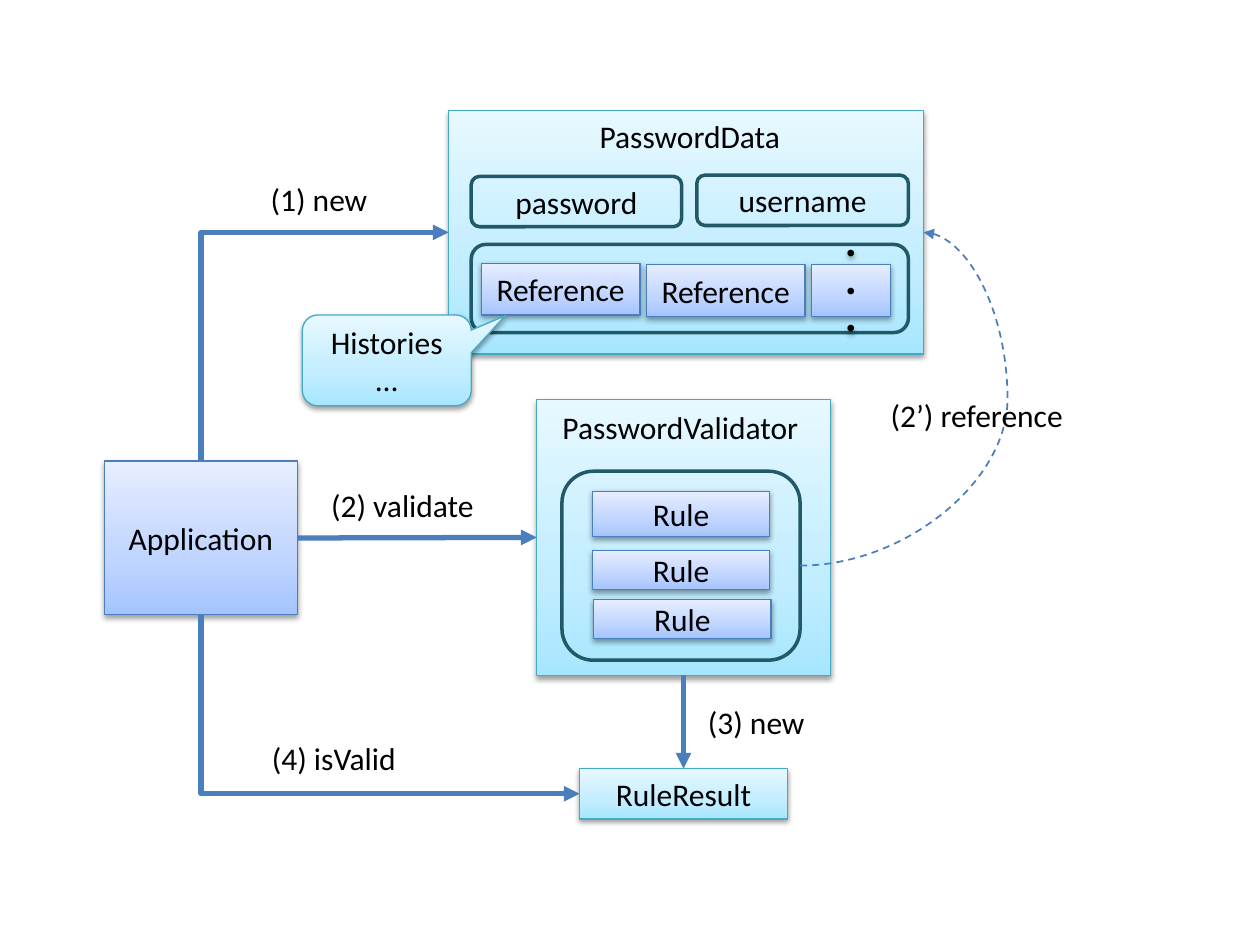
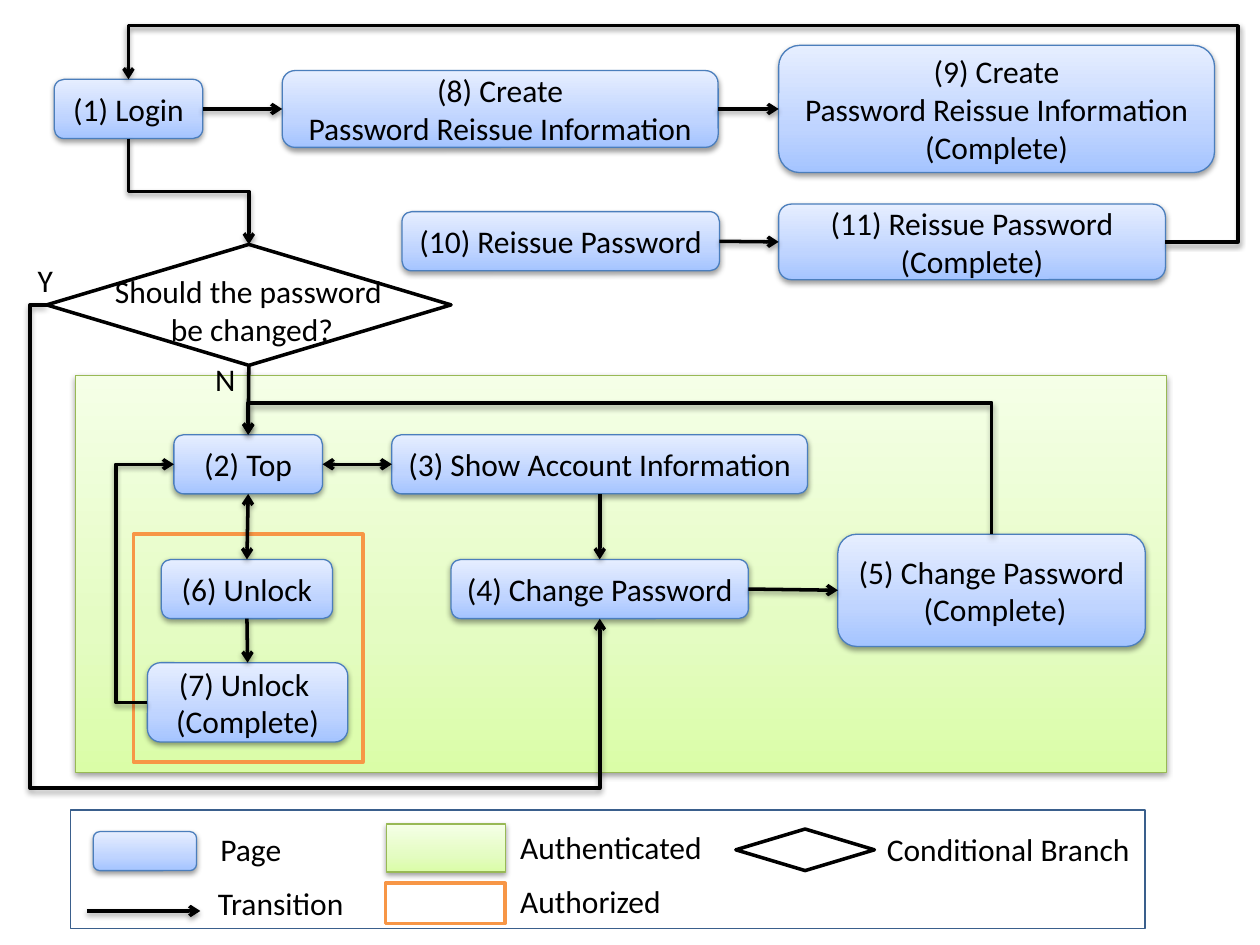
import math

from lxml import etree
from pptx import Presentation
from pptx import util as u
from pptx.dml.color import RGBColor
from pptx.enum import dml, shapes, text
from pptx.oxml.ns import qn

SHAPE = shapes.MSO_SHAPE
LINK = shapes.MSO_CONNECTOR
FONT = {"name": "Calibri", "size": u.Pt(18)}
SHADOW = {"blurRad": "40000", "dist": "20000", "dir": "5400000", "rotWithShape": "0"}
STYLES = {
    "cyan": {"stops": ["A7E6FF", "C1EDFF", "E7F8FF"], "line": "46AAC5", "width": 0.75, "shadow": True},
    "blue": {"stops": ["A4C4FF", "BFD4FF", "E6EEFF"], "line": "4B7EBC", "width": 0.75, "shadow": True},
    "green": {"stops": ["DAFDA7", "E4FCC2", "F5FFE7"], "line": "98B955", "width": 0.75, "shadow": True},
    "teal frame": {"line": "215968", "width": 2},
    "orange frame": {"line": "F79646", "width": 2},
    "legend frame": {"line": "3A5F8C", "width": 1},
    "decision": {"fill": "FFFFFF", "line": "000000", "width": 2},
    "call": {"line": "4B7EBC", "width": 3, "ends": {"tailEnd": "triangle"}},
    "lookup": {"line": "4B7EBC", "width": 1, "dash": True, "ends": {"tailEnd": "triangle"}},
    "move": {"line": "000000", "width": 2, "shadow": True, "ends": {"tailEnd": "arrow"}},
    "both ways": {"line": "000000", "width": 2, "shadow": True,
                  "ends": {"headEnd": "arrow", "tailEnd": "arrow"}},
}
TOP, LEFT, BOTTOM, RIGHT = range(4)


def color(target, value):
    target.rgb = RGBColor.from_string(value)


def dress(shape, style):
    properties = shape._element.spPr
    color(shape.line.color, style["line"])
    shape.line.width = u.Pt(style["width"])
    if "dash" in style:
        shape.line.dash_style = dml.MSO_LINE.DASH
    for end, kind in style.get("ends", {}).items():
        etree.SubElement(properties.find(qn("a:ln")), qn("a:" + end), type=kind)
    if "ends" in style:
        effects = etree.SubElement(properties, qn("a:effectLst"))
    else:
        shape.shadow.inherit = False
        effects = properties.find(qn("a:effectLst"))
        if "stops" in style:
            shape.fill.gradient()
            shape.fill.gradient_angle = 90
            stops = properties.find(qn("a:gradFill")).find(qn("a:gsLst"))
            for stop in list(stops):
                stops.remove(stop)
            for position, value in zip((0, 35000, 100000), style["stops"]):
                stop = etree.SubElement(stops, qn("a:gs"), pos=str(position))
                etree.SubElement(stop, qn("a:srgbClr"), val=value)
        elif "fill" in style:
            shape.fill.solid()
            color(shape.fill.fore_color, style["fill"])
        else:
            shape.fill.background()
    if "shadow" in style:
        outer = etree.SubElement(effects, qn("a:outerShdw"), SHADOW)
        black = etree.SubElement(outer, qn("a:srgbClr"), val="000000")
        etree.SubElement(black, qn("a:alpha"), val="38000")


RECT, ROUND, DECISION = SHAPE.RECTANGLE, SHAPE.ROUNDED_RECTANGLE, SHAPE.FLOWCHART_DECISION

validation = {
    "boxes": [
        ("validator", "cyan", RECT, (4.26, 3.17, 2.33, 2.19), ""),
        ("data", "cyan", RECT, (3.56, 0.88, 3.77, 1.93), ""),
        ("result", "cyan", RECT, (4.6, 6.1, 1.65, 0.4), "RuleResult"),
        ("password", "teal frame", ROUND, (3.74, 1.4, 1.67, 0.4), "password"),
        ("username", "teal frame", ROUND, (5.53, 1.39, 1.68, 0.4), "username"),
        ("references", "teal frame", ROUND, (3.74, 1.94, 3.47, 0.7), ""),
        ("reference 1", "blue", RECT, (3.82, 2.09, 1.26, 0.41), "Reference"),
        ("reference 2", "blue", RECT, (5.13, 2.1, 1.26, 0.41), "Reference"),
        ("more", "blue", RECT, (6.44, 2.1, 0.63, 0.41), "・・・"),
        ("rules", "teal frame", ROUND, (4.46, 3.74, 1.89, 1.5), ""),
        ("rule 3", "blue", RECT, (4.71, 4.76, 1.41, 0.31), "Rule"),
        ("rule 2", "blue", RECT, (4.7, 4.37, 1.41, 0.31), "Rule"),
        ("rule 1", "blue", RECT, (4.7, 3.9, 1.41, 0.36), "Rule"),
        ("application", "blue", RECT, (0.83, 3.66, 1.53, 1.22), "Application"),
        ("histories", "cyan", SHAPE.ROUNDED_RECTANGULAR_CALLOUT, (2.4, 2.5, 1.34, 0.72), "Histories …"),
    ],
    "straight": [
        ("application", RIGHT, "validator", LEFT, "call"),
        ("validator", BOTTOM, "result", TOP, "call"),
    ],
    "bent": [
        ("application", TOP, "data", LEFT, "call", "bentConnector2", 90, []),
        ("application", BOTTOM, "result", LEFT, "call", "bentConnector2", 270, []),
        ("rules", RIGHT, "data", RIGHT, "lookup", "curvedConnector3", 0, [1.68]),
    ],
    "labels": [
        (" PasswordValidator", (4.31, 3.19, 2.36, 0.4), True),
        ("PasswordData", (4.66, 0.88, 1.81, 0.4), True),
        ("(1) new", (2.05, 1.38, 1.26, 0.4), True),
        ("(2) validate", (2.53, 3.81, 1.5, 0.4), True),
        ("(2’) reference", (6.97, 3.09, 1.67, 0.4), True),
        ("(3) new", (5.52, 5.53, 1.26, 0.4), True),
        ("(4) isValid", (2.06, 5.82, 1.5, 0.4), True),
    ],
}

page_flow = {
    "boxes": [
        ("authenticated", "green", RECT, (0.6, 2.98, 8.66, 3.15), ""),
        ("login", "blue", ROUND, (0.43, 0.63, 1.18, 0.47), "(1) Login"),
        ("top", "blue", ROUND, (1.38, 3.45, 1.18, 0.47), "(2) Top"),
        ("account", "blue", ROUND, (3.11, 3.45, 3.3, 0.47), "(3) Show Account Information"),
        ("change", "blue", ROUND, (3.58, 4.44, 2.36, 0.47), "(4) Change Password"),
        ("changed", "blue", ROUND, (6.65, 4.24, 2.44, 0.89), "(5) Change Password\n (Complete)"),
        ("unlock", "blue", ROUND, (1.28, 4.44, 1.36, 0.47), "(6) Unlock"),
        ("unlocked", "blue", ROUND, (1.17, 5.26, 1.59, 0.63), "(7) Unlock \n(Complete)"),
        ("create", "blue", ROUND, (2.24, 0.56, 3.46, 0.61), "(8) Create\nPassword Reissue Information"),
        ("created", "blue", ROUND, (6.18, 0.36, 3.46, 1.01),
         "(9) Create\nPassword Reissue Information\n(Complete)"),
        ("reissue", "blue", ROUND, (3.19, 1.68, 2.52, 0.47), "(10) Reissue Password"),
        ("reissued", "blue", ROUND, (6.18, 1.62, 3.07, 0.6), "(11) Reissue Password (Complete)"),
        ("question", "decision", DECISION, (0.37, 1.94, 3.21, 0.96), ""),
        ("authorized", "orange frame", RECT, (1.06, 4.24, 1.82, 1.81), ""),
        ("legend page", "blue", ROUND, (0.74, 6.6, 0.82, 0.31), ""),
        ("legend authenticated", "green", RECT, (3.07, 6.54, 0.94, 0.38), ""),
        ("legend authorized", "orange frame", RECT, (3.06, 7.01, 0.95, 0.32), ""),
        ("legend branch", "decision", DECISION, (5.84, 6.58, 1.1, 0.33), ""),
        ("legend", "legend frame", RECT, (0.56, 6.43, 8.53, 0.94), ""),
    ],
    "straight": [
        ("login", RIGHT, "create", LEFT, "move"),
        ("create", RIGHT, "created", LEFT, "move"),
        ("reissue", RIGHT, "reissued", LEFT, "move"),
        ("account", BOTTOM, "change", TOP, "move"),
        ("change", RIGHT, "changed", LEFT, "move"),
        ("unlock", BOTTOM, "unlocked", TOP, "move"),
        ("question", BOTTOM, "top", TOP, "move"),
        ("top", BOTTOM, "unlock", TOP, "both ways"),
        ("top", RIGHT, "account", LEFT, "both ways"),
    ],
    "bent": [
        ("changed", TOP, "top", TOP, "move", "bentConnector3", 270, [1.32]),
        ("unlocked", LEFT, "top", LEFT, "move", "bentConnector3", 180, [-1.2]),
        ("login", BOTTOM, "question", TOP, "move", "bentConnector3", 270, [0.5]),
        ("question", LEFT, "change", BOTTOM, "move", "bentConnector4", 180, [-0.03, 1.54]),
        ("reissued", RIGHT, "login", TOP, "move", "bentConnector4", 0, [-0.07, 1.33]),
    ],
    "labels": [
        ("Should the password \nbe changed?", (0.8, 2.11, 2.4, 0.71), False),
        ("Page", (1.65, 6.54, 0.69, 0.4), False),
        ("Transition", (1.63, 6.97, 1.21, 0.4), False),
        ("Authenticated", (4.03, 6.52, 1.66, 0.4), False),
        ("Authorized", (4.03, 6.95, 1.33, 0.4), False),
        ("Conditional Branch", (6.94, 6.54, 2.15, 0.4), False),
        ("Y", (0.2, 2.02, 0.49, 0.4), True),
        ("N", (1.61, 2.81, 0.49, 0.4), True),
    ],
}

deck = Presentation()
deck.slide_width, deck.slide_height = u.Inches(10), u.Inches(7.5)

for content in (validation, page_flow):
    page = deck.slides.add_slide(deck.slide_layouts[6])
    boxes = {}
    written = []
    for name, style, preset, at, words in content["boxes"]:
        box = page.shapes.add_shape(preset, *map(u.Inches, at))
        dress(box, STYLES[style])
        boxes[name] = box
        if words:
            written.append((box, words, text.PP_ALIGN.CENTER))

    for start, start_side, finish, finish_side, style in content["straight"]:
        arrow = page.shapes.add_connector(LINK.STRAIGHT, 0, 0, 0, 0)
        arrow.begin_connect(boxes[start], start_side)
        arrow.end_connect(boxes[finish], finish_side)
        dress(arrow, STYLES[style])

    for start, start_side, finish, finish_side, style, preset, turn, bends in content["bent"]:
        (x1, y1), (x2, y2) = [
            (box.left + box.width * (0.5, 0, 0.5, 1)[side], box.top + box.height * (0, 0.5, 1, 0.5)[side])
            for box, side in ((boxes[start], start_side), (boxes[finish], finish_side))]
        cosine, sine = math.cos(math.radians(turn)), math.sin(math.radians(turn))
        middle_x, middle_y = (x1 + x2) / 2, (y1 + y2) / 2
        half_x = ((x2 - x1) * cosine + (y2 - y1) * sine) / 2
        half_y = ((y2 - y1) * cosine - (x2 - x1) * sine) / 2
        ends = (middle_x - half_x, middle_y - half_y, middle_x + half_x, middle_y + half_y)
        arrow = page.shapes.add_connector(LINK.ELBOW, *map(round, ends))
        properties = arrow._element.spPr
        properties.find(qn("a:xfrm")).set("rot", str(turn * 60000))
        geometry = properties.find(qn("a:prstGeom"))
        geometry.set("prst", preset)
        for number, bend in enumerate(bends, 1):
            etree.SubElement(geometry.find(qn("a:avLst")), qn("a:gd"),
                             name=f"adj{number}", fmla=f"val {round(bend * 100000)}")
        dress(arrow, STYLES[style])

    for words, at, wrap in content["labels"]:
        label = page.shapes.add_textbox(*map(u.Inches, at))
        label.text_frame.auto_size = text.MSO_AUTO_SIZE.SHAPE_TO_FIT_TEXT
        label.text_frame.word_wrap = wrap
        written.append((label, words, text.PP_ALIGN.CENTER if "\n" in words else text.PP_ALIGN.LEFT))

    for box, words, alignment in written:
        box.text_frame.text = words
        for para in box.text_frame.paragraphs:
            para.alignment = alignment
            for span in para.runs:
                color(span.font.color, "000000")
                for key, value in FONT.items():
                    setattr(span.font, key, value)

    if "histories" in boxes:
        for number, value in enumerate((0.7, -0.49, 0.17)):
            boxes["histories"].adjustments[number] = value

legend_arrow = page.shapes.add_connector(LINK.STRAIGHT, *map(u.Inches, (0.69, 7.23, 1.59, 7.23)))
dress(legend_arrow, STYLES["move"])

deck.save("out.pptx")
